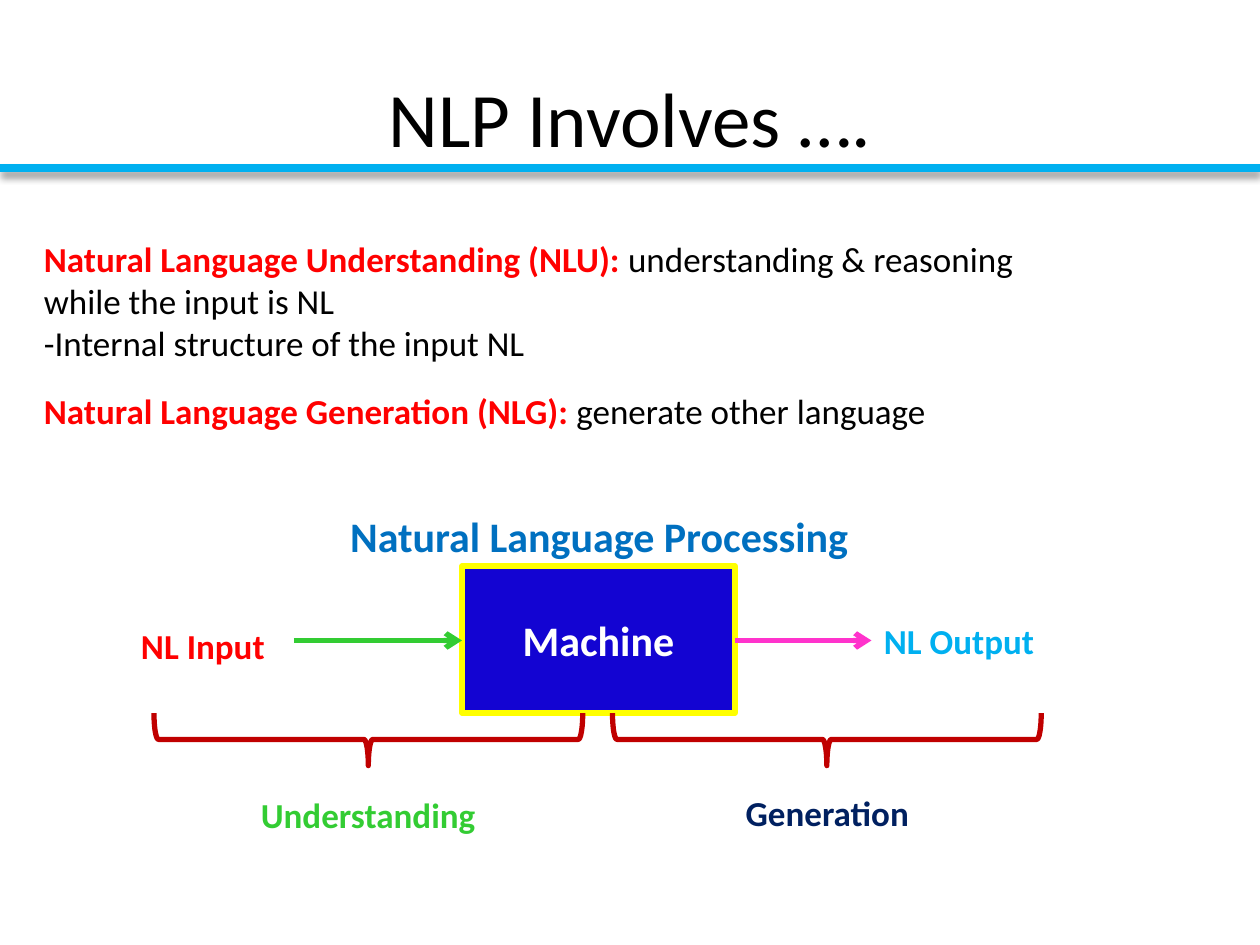
from dataclasses import dataclass

from lxml import etree
from pptx import Presentation
from pptx.dml.color import RGBColor
from pptx.enum.shapes import MSO_CONNECTOR, MSO_SHAPE
from pptx.enum.text import MSO_ANCHOR, MSO_AUTO_SIZE, PP_ALIGN
from pptx.oxml import parse_xml
from pptx.oxml.ns import nsdecls, qn
from pptx.shapes.connector import Connector
from pptx.slide import Slide
from pptx.util import Pt

STRAIGHT = MSO_CONNECTOR.STRAIGHT
RECTANGLE, LEFT_BRACE = MSO_SHAPE.RECTANGLE, MSO_SHAPE.LEFT_BRACE
MIDDLE = MSO_ANCHOR.MIDDLE
CENTER = PP_ALIGN.CENTER
FIT_SHAPE = MSO_AUTO_SIZE.SHAPE_TO_FIT_TEXT

BLACK = RGBColor(0x00, 0x00, 0x00)
WHITE = RGBColor(0xFF, 0xFF, 0xFF)
RED = RGBColor(0xFF, 0x00, 0x00)
DARK_RED = RGBColor(0xC0, 0x00, 0x00)
YELLOW = RGBColor(0xFF, 0xFF, 0x00)
GREEN = RGBColor(0x33, 0xCC, 0x33)
PINK = RGBColor(0xFF, 0x33, 0xCC)
SKY = RGBColor(0x00, 0xB0, 0xF0)
BLUE = RGBColor(0x00, 0x70, 0xC0)
NAVY = RGBColor(0x00, 0x20, 0x60)
MACHINE_BLUE = RGBColor(0x13, 0x04, 0xD2)

FONT = "Calibri"
SLIDE_WIDTH, SLIDE_HEIGHT = 720, 540
STROKE = 3
FLOW_Y = 366
MACHINE_LEFT, MACHINE_TOP, MACHINE_WIDTH, MACHINE_HEIGHT = 264, 323.5, 156, 84
MACHINE_RIGHT = MACHINE_LEFT + MACHINE_WIDTH
BRACE_SPAN, BRACE_DEPTH = 245, 30


@dataclass(frozen=True)
class Label:
    text: str
    left: float
    top: float
    width: float
    height: float
    color: RGBColor
    size: float = 20


@dataclass(frozen=True)
class Definition:
    term: str
    lines: tuple[str, ...]
    top: float
    width: float
    height: float


@dataclass(frozen=True)
class Arrow:
    start: float
    end: float
    color: RGBColor


LABELS = (
    Label("NL Input", 73.5, 353.5, 85.5, 31.5, RED),
    Label("NL Output", 498, 350.5, 101, 31.5, SKY),
    Label("Understanding", 142, 450, 138, 31.5, GREEN),
    Label("Generation", 419, 448.5, 109, 31.5, NAVY),
    Label("Natural Language Processing", 193, 288, 301.5, 36, BLUE, 24),
)
DEFINITIONS = (
    Definition(
        "Natural Language Understanding (NLU): ",
        (
            "understanding & reasoning",
            "while the input is NL",
            "-Internal structure of the input NL",
        ),
        132, 577.5, 80,
    ),
    Definition(
        "Natural Language Generation (NLG): ",
        ("generate other language",),
        219, 522.5, 31.5,
    ),
)
ARROWS = (
    Arrow(MACHINE_RIGHT, 498, PINK),
    Arrow(168, MACHINE_LEFT, GREEN),
)
BRACE_LEFTS = (88, 350)


def style_font(font, size: float, color: RGBColor, bold: bool = False) -> None:
    font.name = FONT
    font.size = Pt(size)
    font.bold = bold
    font.color.rgb = color


def add_text_frame(slide: Slide, left: float, top: float, width: float, height: float):
    frame = slide.shapes.add_textbox(Pt(left), Pt(top), Pt(width), Pt(height)).text_frame
    frame.word_wrap = False
    frame.auto_size = FIT_SHAPE
    return frame


def add_label(slide: Slide, label: Label) -> None:
    frame = add_text_frame(slide, label.left, label.top, label.width, label.height)
    paragraph = frame.paragraphs[0]
    paragraph.text = label.text
    style_font(paragraph.font, label.size, label.color, bold=True)


def add_definition(slide: Slide, definition: Definition) -> None:
    """Write the bold red term, then its explanation in plain black lines."""
    frame = add_text_frame(
        slide, 18, definition.top, definition.width, definition.height
    )
    first = frame.paragraphs[0]
    term = first.add_run()
    term.text = definition.term
    style_font(term.font, 20, RED, bold=True)
    for index, line in enumerate(definition.lines):
        paragraph = frame.add_paragraph() if index else first
        explanation = paragraph.add_run()
        explanation.text = line
        style_font(explanation.font, 20, BLACK)


def add_line(
    slide: Slide, start: float, end: float, y: float, color: RGBColor, weight: float
) -> Connector:
    """Draw a horizontal line with an empty effect list."""
    line = slide.shapes.add_connector(STRAIGHT, Pt(start), Pt(y), Pt(end), Pt(y))
    line.line.color.rgb = color
    line.line.width = Pt(weight)
    etree.SubElement(line._element.spPr, qn("a:effectLst"))
    return line


def add_arrow(slide: Slide, arrow: Arrow) -> None:
    line = add_line(slide, arrow.start, arrow.end, FLOW_Y, arrow.color, STROKE)
    etree.SubElement(line.line._get_or_add_ln(), qn("a:tailEnd"), type="arrow")


def add_title_rule(slide: Slide) -> None:
    rule = add_line(slide, 0, SLIDE_WIDTH, 96, SKY, 4.5)
    effects = rule._element.spPr.find(qn("a:effectLst"))
    effects.append(parse_xml(
        f'<a:outerShdw {nsdecls("a")} blurRad="{Pt(4)}" dist="{Pt(3)}" '
        'dir="5400000" rotWithShape="0"><a:srgbClr val="000000">'
        '<a:alpha val="40000"/></a:srgbClr></a:outerShdw>'
    ))


def add_brace(slide: Slide, span_left: float) -> None:
    """Turn a left brace so that it hangs below the machine and points down."""
    left = span_left + (BRACE_SPAN - BRACE_DEPTH) / 2
    top = MACHINE_TOP + MACHINE_HEIGHT - (BRACE_SPAN - BRACE_DEPTH) / 2
    brace = slide.shapes.add_shape(
        LEFT_BRACE, Pt(left), Pt(top), Pt(BRACE_DEPTH), Pt(BRACE_SPAN)
    )
    brace.rotation = 270
    brace.shadow.inherit = False
    brace.fill.background()
    brace.line.color.rgb = DARK_RED
    brace.line.width = Pt(STROKE)


def add_machine(slide: Slide) -> None:
    machine = slide.shapes.add_shape(
        RECTANGLE, Pt(MACHINE_LEFT), Pt(MACHINE_TOP), Pt(MACHINE_WIDTH), Pt(MACHINE_HEIGHT)
    )
    machine.shadow.inherit = False
    machine.fill.solid()
    machine.fill.fore_color.rgb = MACHINE_BLUE
    machine.line.color.rgb = YELLOW
    machine.line.width = Pt(STROKE)
    machine.text_frame.vertical_anchor = MIDDLE
    paragraph = machine.text_frame.paragraphs[0]
    paragraph.text = "Machine"
    paragraph.alignment = CENTER
    style_font(paragraph.font, 24, WHITE, bold=True)


def set_title(slide: Slide) -> None:
    title = slide.shapes.title
    title.left, title.top, title.width, title.height = Pt(36), Pt(21.6), Pt(648), Pt(90)
    title.text_frame.vertical_anchor = MIDDLE
    paragraph = title.text_frame.paragraphs[0]
    paragraph.text = "NLP Involves …."
    paragraph.alignment = CENTER
    style_font(paragraph.font, 44, BLACK)


def main() -> None:
    presentation = Presentation()
    presentation.slide_width, presentation.slide_height = Pt(SLIDE_WIDTH), Pt(SLIDE_HEIGHT)
    slide = presentation.slides.add_slide(presentation.slide_layouts[5])
    set_title(slide)
    add_machine(slide)
    for arrow in ARROWS:
        add_arrow(slide, arrow)
    for span_left in BRACE_LEFTS:
        add_brace(slide, span_left)
    for label in LABELS:
        add_label(slide, label)
    for definition in DEFINITIONS:
        add_definition(slide, definition)
    add_title_rule(slide)
    presentation.save("out.pptx")


if __name__ == "__main__":
    main()
